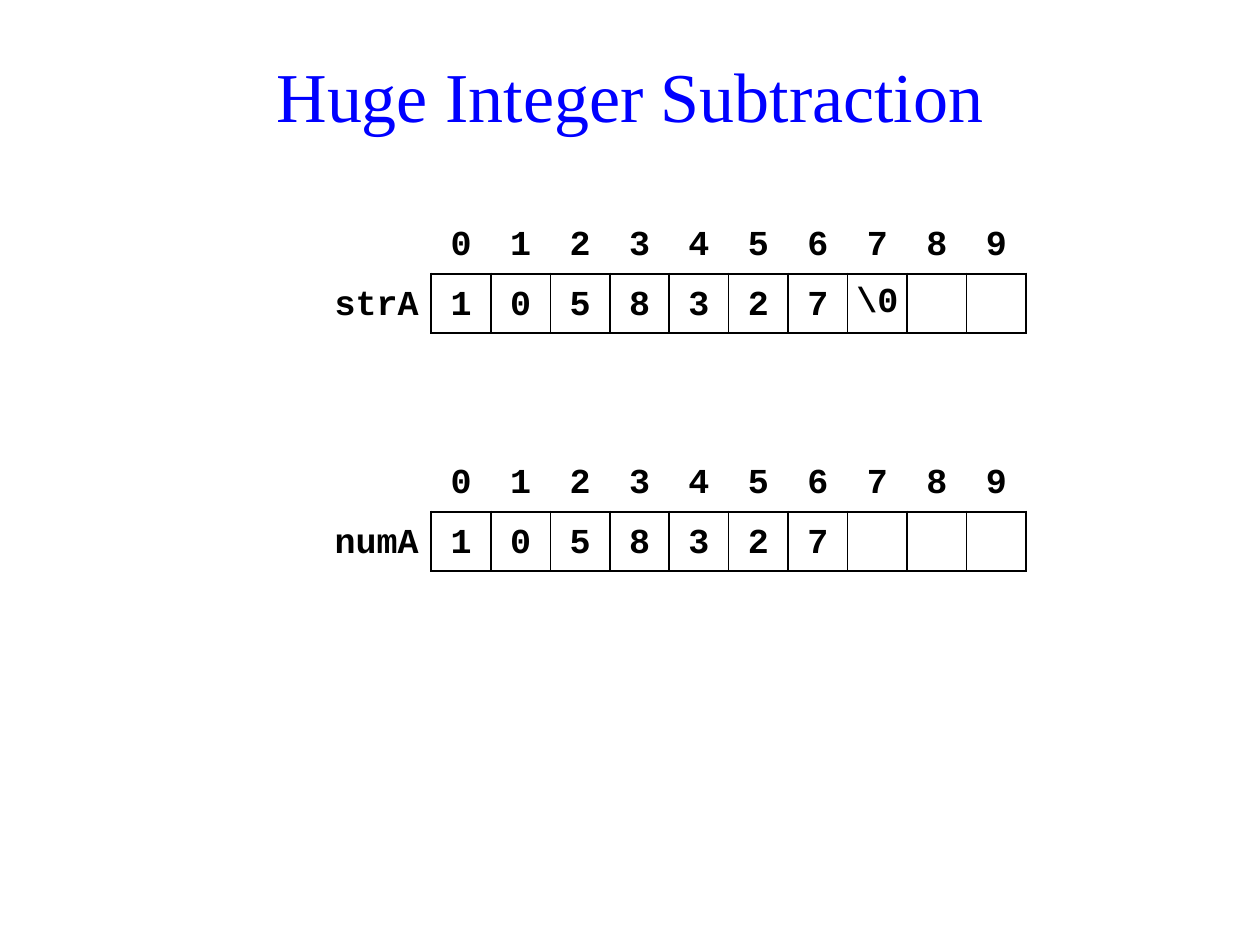
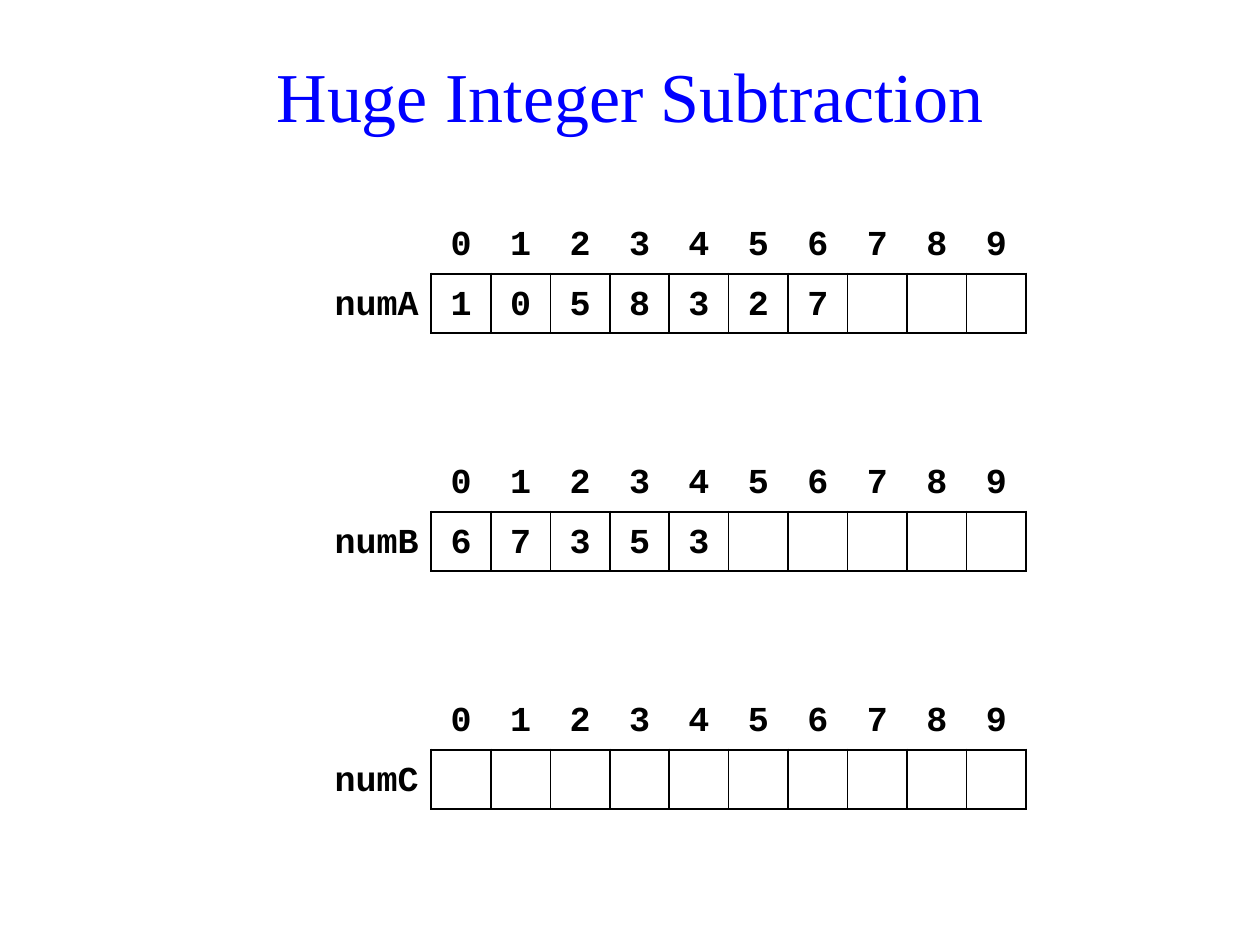
"""Build two slides that show digit arrays for huge integer subtraction."""
from dataclasses import dataclass

import lxml.etree
import pptx
import pptx.dml.color
import pptx.enum.text
import pptx.oxml.ns
import pptx.presentation
import pptx.slide
import pptx.table
import pptx.util

Pt = pptx.util.Pt
RGB = pptx.dml.color.RGBColor
ALIGN = pptx.enum.text.PP_ALIGN
ANCHOR = pptx.enum.text.MSO_ANCHOR
qn = pptx.oxml.ns.qn


@dataclass(frozen=True)
class Theme:
    title_color: RGB = RGB(0x00, 0x00, 0xFF)
    ink: RGB = RGB(0x00, 0x00, 0x00)
    title_font: str = "Times New Roman"
    code_font: str = "Courier New"
    title_size: float = 40
    code_size: float = 20
    code_spacing: float = 1.25
    frame_width: float = 1.5
    divider_width: float = 1


@dataclass(frozen=True)
class DigitArray:
    name: str
    elements: tuple[str, ...]


THEME = Theme()
TITLE = "Huge Integer Subtraction"
CAPACITY = 10
CELL = 34
ARRAY_LEFT, ARRAY_TOP, ARRAY_STEP = 178.5, 122.5, 136
MARGIN_X, MARGIN_Y = 7.2, 1.4
TERMINATOR = "\\0"

NUM_A = DigitArray("numA", tuple("1058327"))
SLIDES = (
    (DigitArray("strA", (*NUM_A.elements, TERMINATOR)), NUM_A),
    (NUM_A, DigitArray("numB", tuple("67353")), DigitArray("numC", ())),
)


def add_title(s: pptx.slide.Slide, text: str) -> None:
    sp = s.shapes.add_textbox(Pt(20), Pt(20), Pt(680), Pt(68))
    tf = sp.text_frame
    tf.word_wrap = True
    tf.vertical_anchor = ANCHOR.MIDDLE
    p = tf.paragraphs[0]
    p.text = text
    p.alignment = ALIGN.CENTER
    p.font.name = THEME.title_font
    p.font.size = Pt(THEME.title_size)
    p.font.color.rgb = THEME.title_color


def border_widths(row: int, col: int) -> dict[str, float]:
    frame, divider = THEME.frame_width, THEME.divider_width
    if row == 0:
        return {"B": frame} if col else {}
    if col == 0:
        return {"R": frame}
    return {
        "L": frame if col == 1 else divider,
        "R": frame if col == CAPACITY else divider,
        "T": frame,
        "B": frame,
    }


def set_borders(cell: pptx.table._Cell, widths: dict[str, float]) -> None:
    tc_pr = cell._tc.get_or_add_tcPr()
    for side in "LRTB":
        ln = lxml.etree.SubElement(tc_pr, qn(f"a:ln{side}"))
        if side in widths:
            ln.set("w", str(Pt(widths[side])))
            fill = lxml.etree.SubElement(ln, qn("a:solidFill"))
            lxml.etree.SubElement(fill, qn("a:srgbClr"), val=str(THEME.ink))
        else:
            lxml.etree.SubElement(ln, qn("a:noFill"))


def fill_cell(cell: pptx.table._Cell, text: str, align: ALIGN) -> None:
    tight = text == TERMINATOR
    cell.margin_left = cell.margin_right = Pt(0 if tight else MARGIN_X)
    cell.margin_top = cell.margin_bottom = Pt(0 if tight else MARGIN_Y)
    cell.fill.background()
    p = cell.text_frame.paragraphs[0]
    p.text = text
    p.alignment = align
    p.line_spacing = THEME.code_spacing
    p.font.name = THEME.code_font
    p.font.size = Pt(THEME.code_size)
    p.font.bold = True
    p.font.color.rgb = THEME.ink


def add_array(s: pptx.slide.Slide, array: DigitArray, top: float) -> None:
    width = (CAPACITY + 2) * CELL
    table = s.shapes.add_table(
        2, CAPACITY + 1, Pt(ARRAY_LEFT), Pt(top), Pt(width), Pt(2 * CELL)
    ).table
    table.first_row = table.horz_banding = False
    for col, column in enumerate(table.columns):
        column.width = Pt(CELL if col else 2 * CELL)
    blanks = ("",) * (CAPACITY - len(array.elements))
    rows = (
        ("", *map(str, range(CAPACITY))),
        (array.name, *array.elements, *blanks),
    )
    for row, texts in enumerate(rows):
        for col, text in enumerate(texts):
            cell = table.cell(row, col)
            set_borders(cell, border_widths(row, col))
            fill_cell(cell, text, ALIGN.CENTER if col else ALIGN.RIGHT)


def add_slide(
    prs: pptx.presentation.Presentation, arrays: tuple[DigitArray, ...]
) -> None:
    s = prs.slides.add_slide(prs.slide_layouts[6])
    add_title(s, TITLE)
    for i, array in enumerate(arrays):
        add_array(s, array, ARRAY_TOP + i * ARRAY_STEP)


def main() -> None:
    prs = pptx.Presentation()
    prs.slide_width, prs.slide_height = Pt(720), Pt(540)
    for arrays in SLIDES:
        add_slide(prs, arrays)
    prs.save("out.pptx")


if __name__ == "__main__":
    main()
